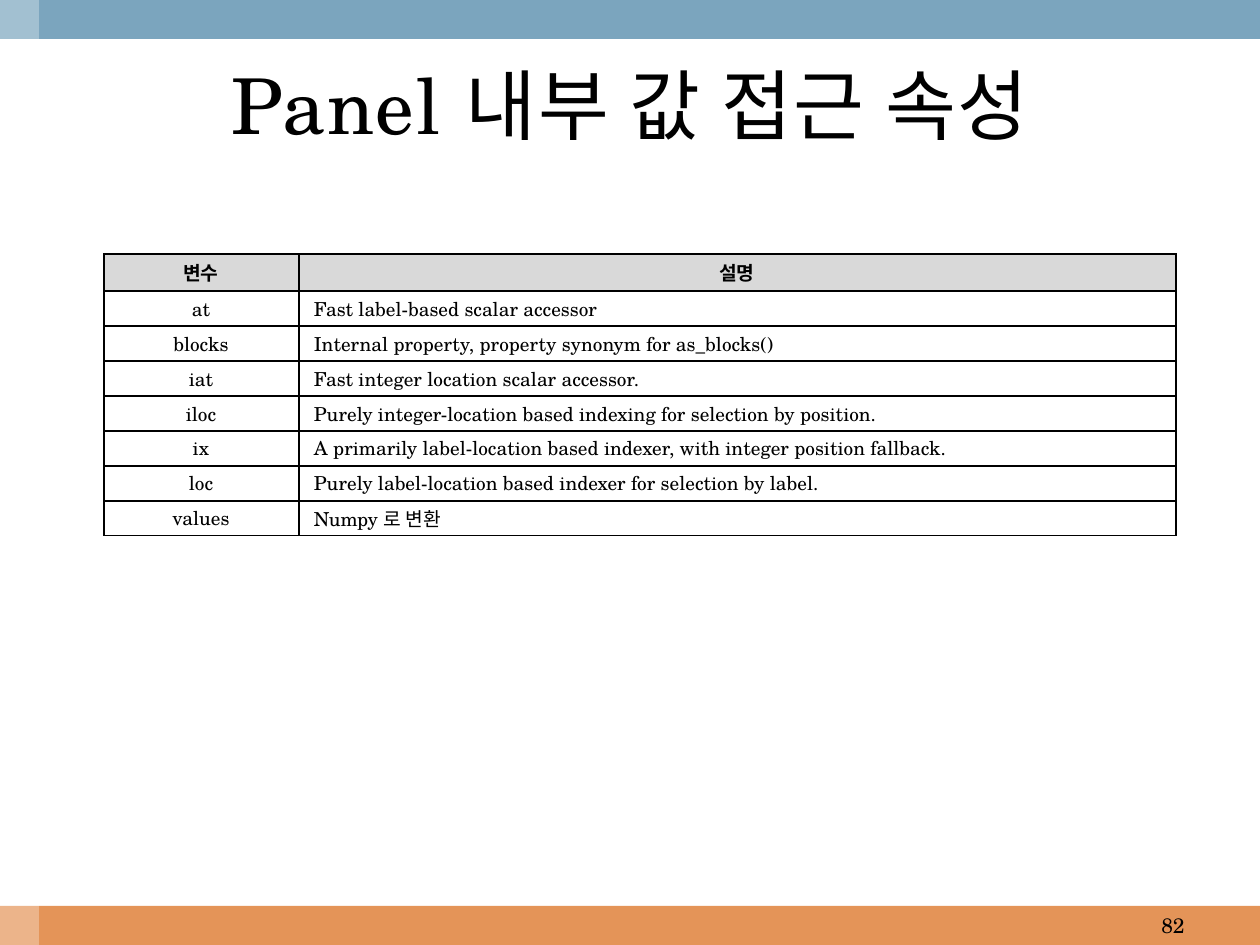
import pptx
import pptx.util
import pptx.dml.color
import pptx.enum.shapes
import pptx.enum.text
import pptx.oxml.ns
from lxml import etree

TITLE = "Panel 내부 값 접근 속성"
PAGE_NUMBER = "82"
HEADINGS = ("변수", "설명")
ATTRIBUTES = [
    ("at", "Fast label-based scalar accessor"),
    ("blocks", "Internal property, property synonym for as_blocks()"),
    ("iat", "Fast integer location scalar accessor."),
    ("iloc", "Purely integer-location based indexing for selection by position."),
    ("ix", "A primarily label-location based indexer, with integer position fallback."),
    ("loc", "Purely label-location based indexer for selection by label."),
    ("values", "Numpy 로 변환"),
]

COLORS = {"top": "7BA5BE", "bottom": "E49458", "white": "FFFFFF",
          "heading": "D9D9D9", "ink": "000000"}
FONT = "TeX Gyre Schola"
PX = 914400 // 126
WIDTH, HEIGHT, BAND = 1260, 945, 39
COLUMNS = (195, 877)
HEADING_HEIGHT, ROW_HEIGHT = 37, 35
ALIGN = pptx.enum.text.PP_ALIGN
MIDDLE = pptx.enum.text.MSO_ANCHOR.MIDDLE
qn = pptx.oxml.ns.qn


def px(*lengths):
    return [pptx.util.Emu(length * PX) for length in lengths]


def rgb(name):
    return pptx.dml.color.RGBColor.from_string(COLORS[name])


def write(frame, text, size=11, bold=False, align=ALIGN.CENTER, spacing=0):
    paragraph = frame.paragraphs[0]
    paragraph.alignment = align
    run = paragraph.add_run()
    run.text = text
    run.font.name = FONT
    run.font.size = pptx.util.Pt(size)
    run.font.bold = bold
    run.font.color.rgb = rgb("ink")
    if spacing:
        run.font._element.set("spc", str(spacing * 100))


def add_band(slide, box, color, opacity=100):
    band = slide.shapes.add_shape(pptx.enum.shapes.MSO_SHAPE.RECTANGLE, *px(*box))
    band.shadow.inherit = False
    band.line.fill.background()
    band.fill.solid()
    band.fill.fore_color.rgb = rgb(color)
    if opacity < 100:
        tint = band._element.spPr.find(".//" + qn("a:srgbClr"))
        etree.SubElement(tint, qn("a:alpha"), val=str(opacity * 1000))


def add_label(slide, box, text, **style):
    frame = slide.shapes.add_textbox(*px(*box)).text_frame
    frame.word_wrap = True
    frame.vertical_anchor = MIDDLE
    write(frame, text, **style)


def add_borders(cell):
    properties = cell._tc.get_or_add_tcPr()
    for position, side in enumerate(("a:lnL", "a:lnR", "a:lnT", "a:lnB")):
        border = etree.Element(qn(side), w="12700")
        fill = etree.SubElement(border, qn("a:solidFill"))
        etree.SubElement(fill, qn("a:srgbClr"), val=COLORS["ink"])
        properties.insert(position, border)


def add_attribute_table(slide, left, top):
    rows = [HEADINGS] + ATTRIBUTES
    heights = [HEADING_HEIGHT] + [ROW_HEIGHT] * len(ATTRIBUTES)
    table = slide.shapes.add_table(
        len(rows), len(COLUMNS), *px(left, top, sum(COLUMNS), sum(heights))).table
    for column, width in zip(table.columns, px(*COLUMNS)):
        column.width = width
    for row, height in zip(table.rows, px(*heights)):
        row.height = height
    for r, texts in enumerate(rows):
        for c, text in enumerate(texts):
            heading, description = r == 0, r > 0 and c == 1
            cell = table.cell(r, c)
            cell.vertical_anchor = MIDDLE
            cell.margin_left, cell.margin_right = px(15 if description else 4, 5)
            cell.margin_top, cell.margin_bottom = px(1, 1)
            cell.fill.solid()
            cell.fill.fore_color.rgb = rgb("heading" if heading else "white")
            add_borders(cell)
            write(cell.text_frame, text, bold=heading,
                  align=ALIGN.LEFT if description else ALIGN.CENTER)


def main():
    deck = pptx.Presentation()
    deck.slide_width, deck.slide_height = px(WIDTH, HEIGHT)
    slide = deck.slides.add_slide(deck.slide_layouts[6])
    footer_top = HEIGHT - BAND
    add_band(slide, (0, footer_top, WIDTH, BAND), "bottom")
    add_band(slide, (0, 0, WIDTH, BAND), "top")
    add_band(slide, (0, 0, BAND, HEIGHT), "white", opacity=30)
    add_label(slide, (903, footer_top, 294, BAND), PAGE_NUMBER, size=12, align=ALIGN.RIGHT)
    add_label(slide, (41, BAND, 1179, 130), TITLE, size=44, spacing=1)
    add_attribute_table(slide, 104, 254)
    deck.save("out.pptx")


if __name__ == "__main__":
    main()
